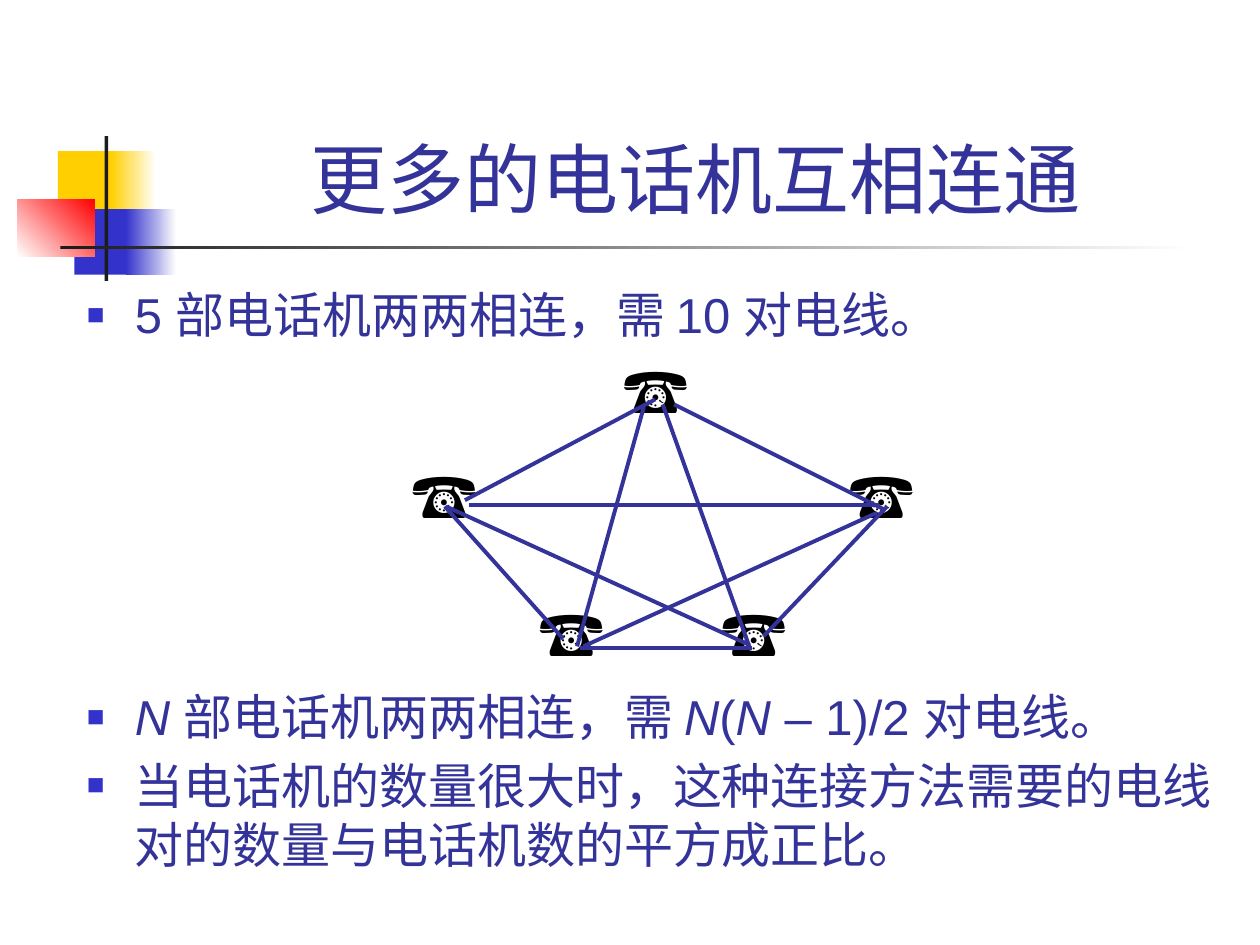
"""Build a slide on connecting telephones pairwise with wires."""
from typing import Any, NamedTuple, Optional

from lxml.etree import SubElement
from pptx import Presentation
from pptx.dml.color import RGBColor
from pptx.enum.shapes import MSO_CONNECTOR as Connector, MSO_SHAPE as Shape
from pptx.enum.text import MSO_ANCHOR as Anchor, MSO_AUTO_SIZE as AutoSize, PP_ALIGN as Align
from pptx.oxml.ns import qn
from pptx.util import Inches, Pt

INK, BLUE, YELLOW, RED = "333399", "3333CC", "FFCF01", "FF0000"
DARK, WHITE, BLACK = "1C1C1C", "FFFFFF", "000000"


class Box(NamedTuple):
    left: float
    top: float
    width: float
    height: float


class Block(NamedTuple):
    box: Box
    start: str
    end: Optional[str] = None
    angle: int = 0


class Wire(NamedTuple):
    x1: float
    y1: float
    x2: float
    y2: float


class Item(NamedTuple):
    runs: list[tuple[str, bool]]
    space_before: float


BLOCKS = [
    Block(Box(0.46, 1.2, 0.48, 0.52), YELLOW),
    Block(Box(0.88, 1.2, 0.36, 0.52), YELLOW, WHITE),
    Block(Box(0.59, 1.66, 0.46, 0.52), BLUE),
    Block(Box(1, 1.66, 0.4, 0.52), BLUE, WHITE),
    Block(Box(0.14, 1.58, 0.61, 0.46), WHITE, RED, 45),
    Block(Box(0.83, 1.08, 0.03, 1.15), DARK),
    Block(Box(0.48, 1.95, 9, 0.03), DARK, WHITE),
]
PHONES = [(4.85, 2.73), (3.17, 3.57), (4.18, 4.66), (6.64, 3.57), (5.63, 4.66)]
WIRES = [
    Wire(3.69, 3.97, 5.2, 3.17),
    Wire(5.35, 3.21, 7.03, 4.05),
    Wire(3.53, 4.02, 4.47, 5.07),
    Wire(4.6, 5.14, 5.97, 5.14),
    Wire(6.06, 5.05, 7.04, 4.02),
    Wire(5.26, 3.21, 5.95, 5.14),
    Wire(5.11, 3.23, 4.58, 5.13),
    Wire(3.72, 4.01, 6.98, 4.01),
    Wire(3.54, 4.02, 5.95, 5.12),
    Wire(4.63, 5.13, 6.96, 4.07),
]
ITEMS = [
    Item([("5 部电话机两两相连，需 10 对电线。", False)], 5.6),
    Item([("N ", True), ("部电话机两两相连，需 ", False), ("N", True), ("(", False),
          ("N", True), (" – 1)/2 对电线。", False)], 196),
    Item([("当电话机的数量很大时，这种连接方法需要的电线对的数量与电话机数的平方成正比。", False)], 5.6),
]


def color(value: str) -> RGBColor:
    return RGBColor.from_string(value)


def apply(target: Any, values: dict[str, Any]) -> None:
    for name, value in values.items():
        setattr(target, name, value)


def place(shape: Any, box: Box) -> None:
    apply(shape, {name: Inches(value) for name, value in box._asdict().items()})


def add_run(paragraph: Any, text: str, size: float, ink: str = INK,
            font: str = "Arial", italic: bool = False) -> None:
    run = paragraph.add_run()
    run.text = text
    apply(run.font, {"size": Pt(size), "name": font, "italic": italic})
    run.font.color.rgb = color(ink)


def add_block(slide: Any, block: Block) -> None:
    shape = slide.shapes.add_shape(Shape.RECTANGLE, *map(Inches, block.box))
    shape.shadow.inherit = False
    shape.line.fill.background()
    if block.end is None:
        shape.fill.solid()
        shape.fill.fore_color.rgb = color(block.start)
        return
    shape.fill.gradient()
    shape.fill.gradient_angle = block.angle
    for stop, position, value in zip(shape.fill.gradient_stops, (0, 1), (block.start, block.end)):
        stop.position = position
        stop.color.rgb = color(value)


def add_bullet(paragraph: Any) -> None:
    properties = paragraph._p.get_or_add_pPr()
    apply_indent = {"marL": Inches(0.38), "indent": Inches(-0.38)}
    for name, value in apply_indent.items():
        properties.set(name, str(int(value)))
    bullet_color = SubElement(properties, qn("a:buClr"))
    SubElement(bullet_color, qn("a:srgbClr"), val=BLUE)
    SubElement(properties, qn("a:buSzPct"), val="60000")
    SubElement(properties, qn("a:buFont"), typeface="Arial")
    SubElement(properties, qn("a:buChar"), char="■")


def fill_title(title: Any) -> None:
    place(title, Box(1.26, 0.23, 8.52, 1.6))
    apply(title.text_frame, {"vertical_anchor": Anchor.BOTTOM, "auto_size": AutoSize.NONE})
    paragraph = title.text_frame.paragraphs[0]
    paragraph.alignment = Align.CENTER
    add_run(paragraph, "更多的电话机互相连通", 44)


def fill_body(body: Any) -> None:
    place(body, Box(0.59, 2.21, 9.41, 5.29))
    frame = body.text_frame
    apply(frame, {"vertical_anchor": Anchor.TOP, "auto_size": AutoSize.NONE})
    for index, item in enumerate(ITEMS):
        paragraph = frame.add_paragraph() if index else frame.paragraphs[0]
        paragraph.space_before = Pt(item.space_before)
        add_bullet(paragraph)
        for text, italic in item.runs:
            add_run(paragraph, text, 28, italic=italic)


def add_phone(slide: Any, left: float, top: float) -> None:
    phone = slide.shapes.add_textbox(*map(Inches, (left, top, 0.87, 0.7)))
    apply(phone.text_frame, {"word_wrap": False, "auto_size": AutoSize.SHAPE_TO_FIT_TEXT})
    add_run(phone.text_frame.paragraphs[0], "☎", 36, BLACK, "Times New Roman")


def add_wire(slide: Any, wire: Wire) -> None:
    connector = slide.shapes.add_connector(Connector.STRAIGHT, *map(Inches, wire))
    connector.line.width = Pt(2.25)
    connector.line.color.rgb = color(INK)
    SubElement(connector._element.spPr, qn("a:effectLst"))


def main() -> None:
    presentation = Presentation()
    apply(presentation, {"slide_width": Inches(10), "slide_height": Inches(7.5)})
    slide = presentation.slides.add_slide(presentation.slide_layouts[1])
    for block in BLOCKS:
        add_block(slide, block)
    fill_title(slide.shapes.title)
    fill_body(slide.placeholders[1])
    for left, top in PHONES:
        add_phone(slide, left, top)
    for wire in WIRES:
        add_wire(slide, wire)
    presentation.save("out.pptx")


if __name__ == "__main__":
    main()
